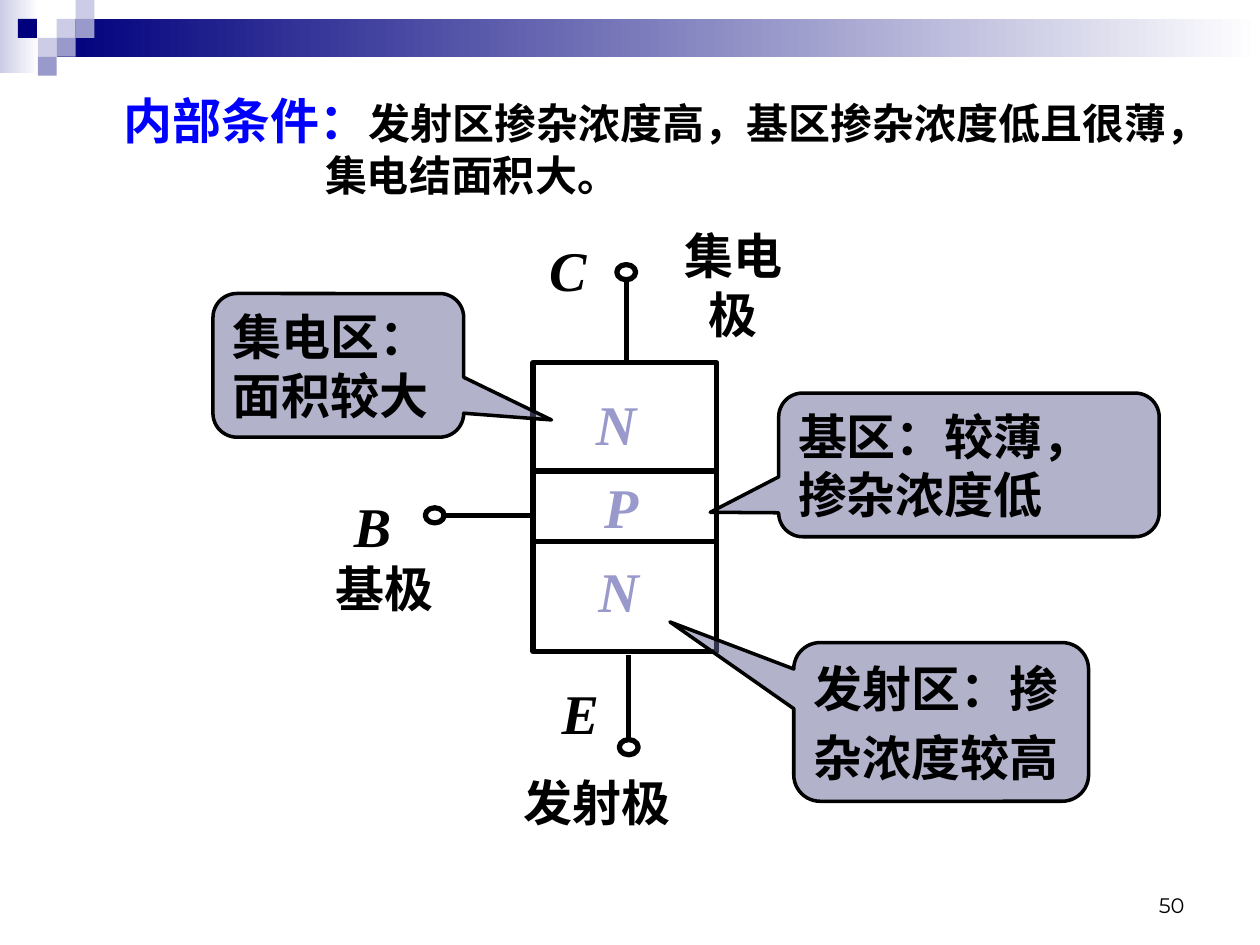
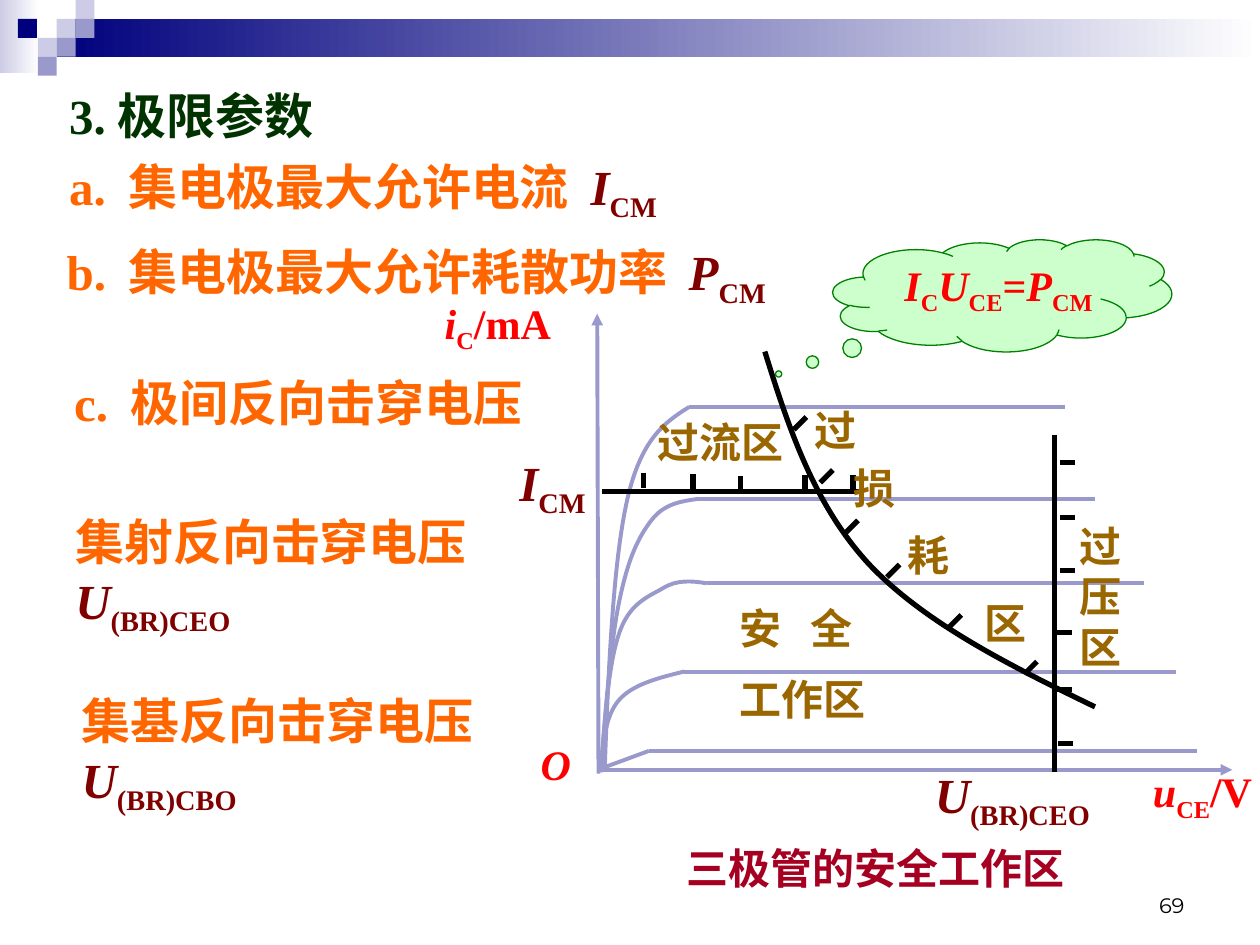
from dataclasses import dataclass

from lxml import etree
from pptx import Presentation
from pptx.dml.color import RGBColor
from pptx.enum.lang import MSO_LANGUAGE_ID
from pptx.enum.shapes import MSO_CONNECTOR, MSO_SHAPE
from pptx.enum.text import MSO_ANCHOR, PP_ALIGN
from pptx.oxml.ns import qn
from pptx.util import Inches, Pt

RECT, OVAL = MSO_SHAPE.RECTANGLE, MSO_SHAPE.OVAL
CLOUD, CALLOUT = MSO_SHAPE.CLOUD_CALLOUT, MSO_SHAPE.ROUNDED_RECTANGULAR_CALLOUT
STRAIGHT = MSO_CONNECTOR.STRAIGHT
LEFT, CENTER, RIGHT = PP_ALIGN.LEFT, PP_ALIGN.CENTER, PP_ALIGN.RIGHT
TOP, MIDDLE, BOTTOM = MSO_ANCHOR.TOP, MSO_ANCHOR.MIDDLE, MSO_ANCHOR.BOTTOM
CHINESE = MSO_LANGUAGE_ID.SIMPLIFIED_CHINESE


@dataclass(frozen=True)
class Theme:
    navy: str = "00007D"
    lilac: str = "9999CC"
    pale: str = "CCCCE6"
    white: str = "FFFFFF"
    ink: str = "000000"
    blue: str = "0000FF"
    callout: str = "666699"
    heading: str = "003300"
    item: str = "FF6600"
    symbol: str = "800000"
    axis: str = "FF0000"
    region: str = "996600"
    caption: str = "A50021"
    cloud: str = "CCFFCC"
    cloud_edge: str = "008000"
    serif: str = "Times New Roman"
    sans: str = "Arial"
    lead: str = "Cabin"
    number: str = "Montserrat"
    letter: int = 32
    large: int = 28
    medium: int = 24
    small: int = 12
    heavy: float = 3
    curve: float = 2.25


T = Theme()


def sub(symbol, index, **fmt):
    """Runs for an italic symbol with an upright subscript."""
    return [(symbol, dict(italic=True, **fmt)), (index, dict(baseline=-25, **fmt))]


GAP = (" ", dict(spacing=6))       # about twice a normal space
WIDE_GAP = (" ", dict(spacing=11))  # about three times a normal space

# ---- Content: header ----
SQUARE = 0.15
HEADER_SQUARES = [  # column, row, colour
    (3, 1, T.pale), (4, 0, T.pale), (4, 1, T.lilac), (2, 2, T.pale),
    (0.95, 1, T.navy), (3, 2, T.lilac), (2, 3, T.lilac)]

# ---- Content: transistor structure ----
CONDITIONS = [
    [("内部条件：", dict(size=T.large, font=T.lead, color=T.blue)),
     "发射区掺杂浓度高，基区掺杂浓度低且很薄，"],
    "集电结面积大。"]
STACK_X, STACK_TOP, STACK_WIDTH = 4.23, 2.88, 1.46
LAYERS = [  # letter, layer height, letter left, letter top
    ("N", 0.86, 4.63, 3.04), ("P", 0.56, 4.67, 3.70), ("N", 0.87, 4.65, 4.37)]
RING_W, RING_H = 0.15, 0.12
TERMINALS = [  # letter, its left and top, ring centre, lead start, lead end
    ("C", 4.26, 1.82, (4.97, 2.16), (4.97, 2.89), (4.97, 2.22)),
    ("B", 2.71, 3.85, (3.45, 4.09), (4.25, 4.09), (3.5, 4.09)),
    ("E", 4.36, 5.34, (4.99, 5.93), (4.99, 5.2), (4.99, 5.87))]
TERMINAL_NAMES = [
    ("基极", (2.45, 4.38, 1.2, 0.57)),
    ("发射极", (3.99, 6.08, 1.5, 0.57)),
    ("集电极", (5.22, 1.97, 1.2, 0.57))]
CALLOUTS = [  # paragraphs, box, pointer
    ("基区：较薄，掺杂浓度低", (6.18, 3.12, 3.02, 1.14), (-0.68, 0.33)),
    ("集电区：面积较大", (1.69, 2.33, 1.99, 1.14), (0.85, 0.38)),
    (["发射区：掺", "杂浓度较高"], (6.3, 5.1, 2.34, 1.26), (-0.92, -0.63))]

# ---- Content: limit parameters ----
ITEMS = [  # paragraph, box
    (["a.", GAP, "集电极最大允许电流", GAP, *sub("I", "CM", color=T.symbol)],
     (0.45, 1.19, 6.09, 0.57)),
    (["b.", GAP, "集电极最大允许耗散功率", GAP, *sub("P", "CM", color=T.symbol)],
     (0.43, 1.87, 7.15, 0.57)),
    (["c.", GAP, "极间反向击穿电压"], (0.49, 2.91, 5.32, 0.57)),
    (["集射反向击穿电压", *sub("U", "(BR)CEO", color=T.symbol)],
     (0.5, 4.01, 3.4, 1.03)),
    (["集基反向击穿电压", *sub("U", "(BR)CBO", color=T.symbol)],
     (0.55, 5.43, 3.4, 1.03))]
AXES = [((4.76, 6.11), (9.78, 6.11)), ((4.75, 6.14), (4.74, 2.49))]
AXIS_LABELS = [  # runs, box
    ([*sub("i", "C"), "/mA"], (3.53, 2.31, 1.33, 0.5)),
    ([("O", dict(italic=True))], (4.29, 5.81, 0.5, 0.5)),
    ([*sub("u", "CE"), "/V"], (9.15, 6.03, 0.85, 0.5))]
OUTPUT_CURVES = [  # end of the plateau, Bezier points of the rise
    (9.5, [(4.77, 6.1), (4.77, 6.1), (4.96, 6.03), (5.15, 5.96)]),
    (9.33, [(4.77, 6.1), (4.79, 5.9), (4.8, 5.69), (4.91, 5.56),
            (5.02, 5.43), (5.23, 5.38), (5.43, 5.33)]),
    (9.08, [(4.77, 6.13), (4.8, 5.7), (4.83, 5.28), (4.91, 5.04),
            (4.99, 4.79), (5.14, 4.74), (5.26, 4.67),
            (5.37, 4.6), (5.49, 4.61), (5.61, 4.63)]),
    (8.69, [(4.77, 6.1), (4.81, 5.59), (4.85, 5.07), (4.92, 4.75),
            (4.99, 4.42), (5.07, 4.26), (5.17, 4.13),
            (5.27, 4), (5.4, 3.98), (5.54, 3.96)]),
    (8.45, [(4.8, 6.1), (4.83, 5.27), (4.87, 4.44), (4.98, 3.96),
            (5.09, 3.48), (5.28, 3.35), (5.47, 3.23)])]
POWER_CURVE = [(6.07, 2.79), (6.26, 3.4), (6.46, 4), (6.89, 4.47),
               (7.33, 4.94), (8.01, 5.28), (8.69, 5.61)]
POWER_TICKS = [(6.4, 3.31), (6.61, 3.73), (6.81, 4.13),
               (7.14, 4.48), (7.63, 4.88), (8.23, 5.25)]
CURRENT_LIMIT = ((4.78, 3.9), (6.84, 3.9))
CURRENT_TICKS = [(5.11, 3.75), (5.5, 3.76), (5.88, 3.78), (6.39, 3.77), (6.77, 3.77)]
VOLTAGE_LIMIT = ((8.37, 3.45), (8.37, 6.13))
VOLTAGE_TICKS = [(8.41, 3.67), (8.41, 4.11), (8.41, 4.53),
                 (8.39, 5.02), (8.39, 5.47), (8.4, 5.9)]
TICK = 0.12
SLANT = 0.1
POWER_REGION = [  # character, centre, top
    ("过", 6.63, 3.16), ("损", 6.94, 3.62), ("耗", 7.37, 4.15), ("区", 7.98, 4.69)]
REGIONS = [
    ("过流区", (5.12, 3.26, 1.36, 0.5)),
    ("过压区", (8.47, 4.08, 0.62, 1.3)),
    ([["安", WIDE_GAP, "全"], "工作区"], (5.77, 4.73, 1.34, 1.1))]
LIMIT_LABELS = [
    (sub("I", "CM"), (3.95, 3.54, 0.87, 0.57)),
    (sub("U", "(BR)CEO"), (7.21, 6.02, 1.65, 0.57))]
POWER_FORMULA = [*sub("I", "C"), *sub("U", "CE"), "=", *sub("P", "CM")]


# ---- Drawing helpers ----
def rgb(color):
    return RGBColor.from_string(color)


def inches(values):
    return [Inches(v) for v in values]


def write(tf, paragraphs, align=LEFT, anchor=TOP, wrap=True, inset=(0.1, 0.05),
          before=0, leading=None, indent=0, **fmt):
    """Fill a text frame; before, leading and indent act after the first paragraph."""
    tf.word_wrap = wrap
    tf.vertical_anchor = anchor
    tf.margin_left = tf.margin_right = Inches(inset[0])
    tf.margin_top = tf.margin_bottom = Inches(inset[1])
    for i, runs in enumerate(paragraphs):
        p = tf.add_paragraph() if i else tf.paragraphs[0]
        p.alignment = align
        if i:
            p.space_before = Pt(before)
            p.line_spacing = leading
            p._p.get_or_add_pPr().set("marL", str(Inches(indent)))
        for run in [runs] if isinstance(runs, str) else runs:
            content, own = (run, {}) if isinstance(run, str) else run
            style_run(p.add_run(), content, **{**fmt, **own})


def style_run(r, content, size=T.large, color=T.ink, font=T.serif, bold=True,
              italic=False, baseline=0, spacing=0):
    r.text = content
    f = r.font
    f.size, f.name, f.bold, f.italic = Pt(size), font, bold, italic
    f.color.rgb = rgb(color)
    f.language_id = CHINESE
    if baseline:
        f._element.set("baseline", str(baseline * 1000))
    if spacing:
        f._element.set("spc", str(spacing * 100))


def label(s, box, paragraphs, **fmt):
    write(s.shapes.add_textbox(*inches(box)).text_frame, paragraphs, **fmt)


def finish(sp, fill=None, line=None, width=1, alpha=None):
    """Give a shape its fill and outline; a pair of colours makes a gradient."""
    sp.shadow.inherit = False
    if isinstance(fill, tuple):
        sp.fill.gradient()
        sp.fill.gradient_angle = 0
        for stop, color, position in zip(sp.fill.gradient_stops, fill, (0, 1)):
            stop.color.rgb, stop.position = rgb(color), position
    elif fill:
        sp.fill.solid()
        sp.fill.fore_color.rgb = rgb(fill)
    else:
        sp.fill.background()
    if alpha:
        color = sp._element.spPr.find(qn("a:solidFill"))[0]
        etree.SubElement(color, qn("a:alpha")).set("val", str(alpha * 1000))
    if line:
        sp.line.color.rgb, sp.line.width = rgb(line), Pt(width)
    else:
        sp.line.fill.background()


def shape(s, kind, box, adjust=(), **look):
    sp = s.shapes.add_shape(kind, *inches(box))
    for i, value in enumerate(adjust):
        sp.adjustments[i] = value
    finish(sp, **look)
    return sp


def line(s, start, end, color=T.ink, width=T.heavy, arrow=False):
    c = s.shapes.add_connector(STRAIGHT, *inches((*start, *end)))
    c.line.color.rgb, c.line.width = rgb(color), Pt(width)
    if arrow:
        etree.SubElement(c.line._get_or_add_ln(), qn("a:tailEnd")).set("type", "triangle")
    etree.SubElement(c._element.spPr, qn("a:effectLst"))


def curve(s, points, color=T.ink, width=T.heavy):
    """Draw a chain of cubic Bezier segments that share their end points."""
    first, *rest = [inches(p) for p in points]
    builder = s.shapes.build_freeform(*first)
    builder.add_line_segments(rest, close=False)
    sp = builder.convert_to_shape()
    steps = list(sp._element.iter(qn("a:lnTo")))
    for k in range(0, len(steps), 3):
        cubic = etree.SubElement(steps[k].getparent(), qn("a:cubicBezTo"))
        for step in steps[k:k + 3]:
            cubic.append(step[0])
            step.getparent().remove(step)
    finish(sp, line=color, width=width)


# ---- Slides ----
def new_slide(prs, number):
    s = prs.slides.add_slide(prs.slide_layouts[6])
    shape(s, RECT, (0, 0, 0.31, 0.58), fill=(T.pale, T.white))
    shape(s, RECT, (3 * SQUARE, SQUARE, 10 - 3 * SQUARE, 2 * SQUARE), fill=(T.navy, T.white))
    for col, row, color in HEADER_SQUARES:
        shape(s, RECT, (col * SQUARE, row * SQUARE, SQUARE, SQUARE), fill=color)
    label(s, (7.17, 6.83, 2.33, 0.5), [number], align=RIGHT, anchor=BOTTOM,
          size=T.small, font=T.number, bold=False)
    return s


def structure_slide(prs):
    s = new_slide(prs, "50")
    centered = dict(align=CENTER, anchor=MIDDLE)
    top = STACK_TOP
    for letter, height, x, y in LAYERS:
        shape(s, RECT, (STACK_X, top, STACK_WIDTH, height), line=T.ink, width=T.heavy)
        label(s, (x, y, 0.52, 0.63), [letter], size=T.letter, color=T.lilac,
              italic=True, **centered)
        top += height
    for letter, x, y, (cx, cy), start, end in TERMINALS:
        line(s, start, end)
        shape(s, OVAL, (cx - RING_W / 2, cy - RING_H / 2, RING_W, RING_H),
              line=T.ink, width=T.heavy)
        label(s, (x, y, 0.49, 0.63), [letter], size=T.letter, italic=True,
              wrap=False, **centered)
    for name, box in TERMINAL_NAMES:
        label(s, box, [name], **centered)
    for words, box, pointer in CALLOUTS:
        sp = shape(s, CALLOUT, box, pointer, fill=T.callout, alpha=50, line=T.ink, width=2)
        write(sp.text_frame, [words] if isinstance(words, str) else words,
              anchor=MIDDLE, before=14, leading=0.75)
    label(s, (0.98, 0.72, 8.9, 0.87), CONDITIONS, anchor=MIDDLE, inset=(0, 0),
          indent=1.6, size=T.medium, font=T.sans)


def limits_slide(prs):
    s = new_slide(prs, "69")
    shape(s, CLOUD, (6.61, 1.9, 2.69, 0.89), (-0.66, 0.7), fill=T.cloud,
          line=T.cloud_edge, width=0.75)
    label(s, (0.45, 0.63, 3.67, 0.57), ["3. 极限参数"], color=T.heading)
    for runs, box in ITEMS:
        label(s, box, [runs], color=T.item)

    thin = dict(color=T.lilac, width=T.curve)
    for plateau_end, rise in OUTPUT_CURVES:
        curve(s, rise, **thin)
        line(s, rise[-1], (plateau_end, rise[-1][1]), **thin)
    for start, end in AXES:
        line(s, start, end, arrow=True, **thin)
    for runs, box in AXIS_LABELS:
        label(s, box, [runs], size=T.medium, color=T.axis, inset=(0, 0.05))

    curve(s, POWER_CURVE)
    line(s, *CURRENT_LIMIT)
    line(s, *VOLTAGE_LIMIT)
    for ticks, dx, dy in ((POWER_TICKS, -SLANT, SLANT), (CURRENT_TICKS, 0, TICK),
                          (VOLTAGE_TICKS, TICK, 0)):
        for x, y in ticks:
            line(s, (x, y), (x + dx, y + dy))

    region = dict(size=T.medium, color=T.region)
    for words, box in REGIONS:
        label(s, box, [words] if isinstance(words, str) else words, before=12, **region)
    for character, center, top in POWER_REGION:
        label(s, (center - 0.3, top, 0.6, 0.5), [character], align=CENTER, **region)
    for runs, box in LIMIT_LABELS:
        label(s, box, [runs], align=CENTER, color=T.symbol)
    label(s, (6.77, 2.01, 2.31, 0.5), [POWER_FORMULA], align=CENTER,
          size=T.medium, color=T.axis)
    label(s, (5.35, 6.64, 3.3, 0.5), ["三极管的安全工作区"], size=T.medium, color=T.caption)


def main():
    prs = Presentation()
    prs.slide_width, prs.slide_height = Inches(10), Inches(7.5)
    structure_slide(prs)
    limits_slide(prs)
    prs.save("out.pptx")


if __name__ == "__main__":
    main()
